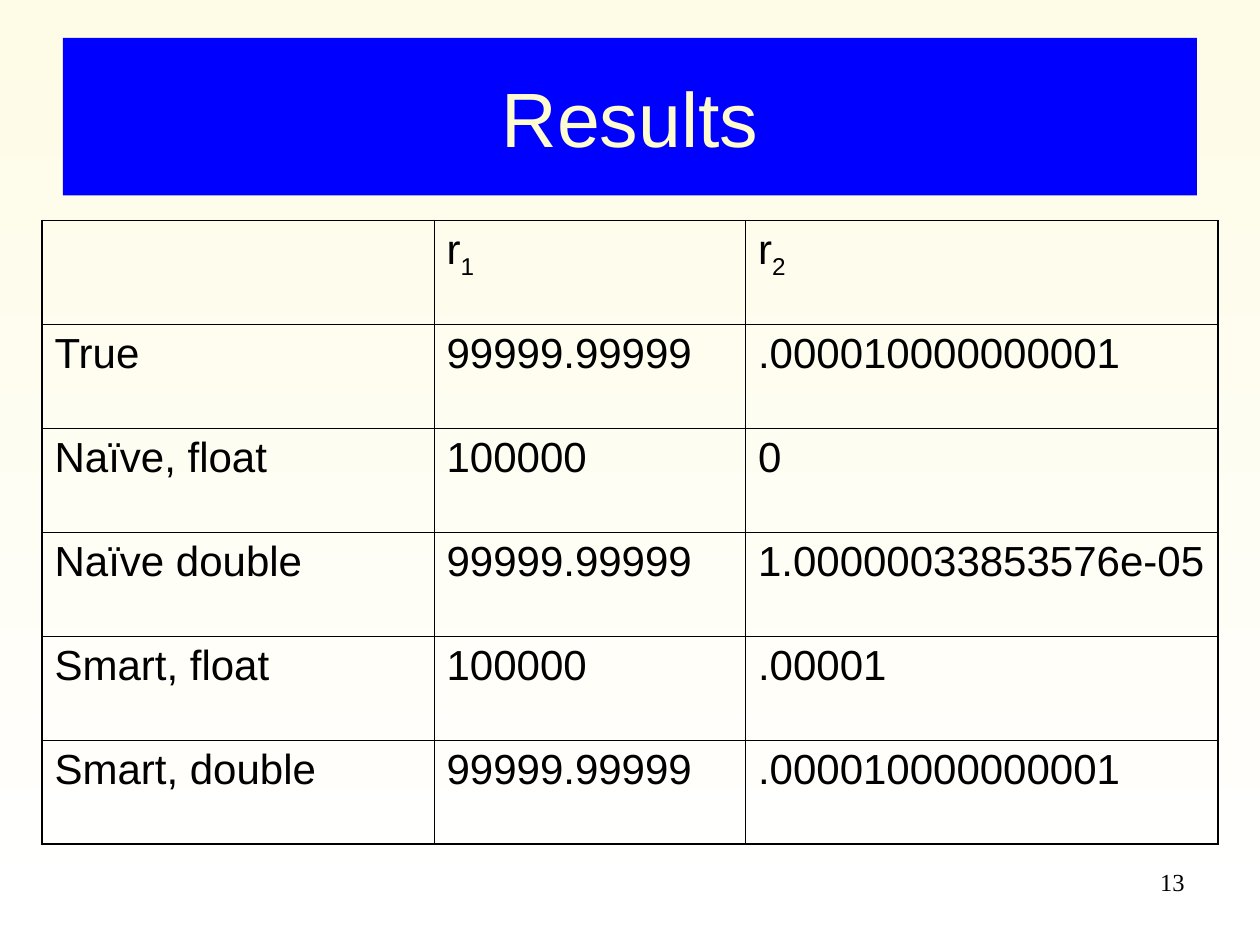
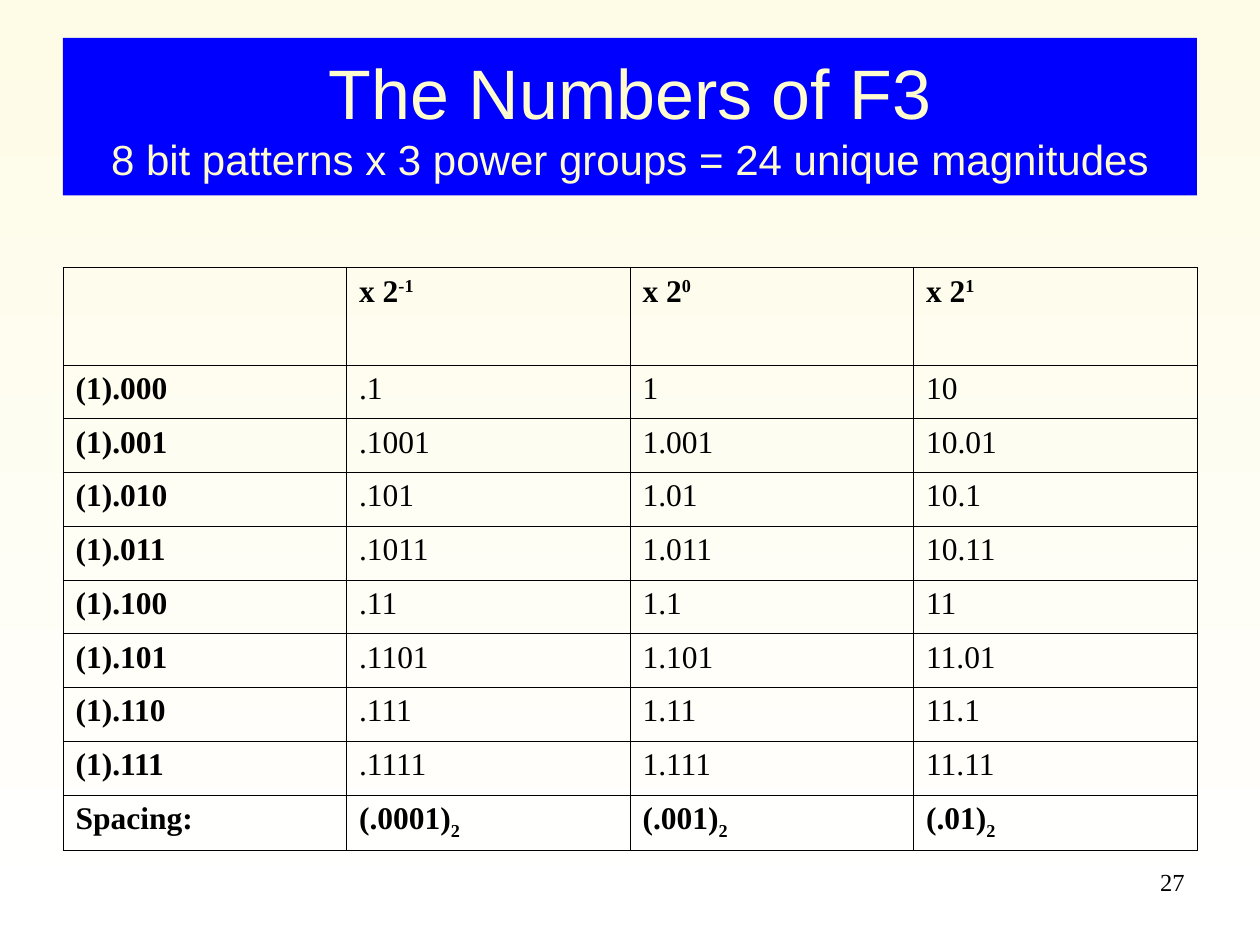
"""Build two slides of floating-point tables."""
from lxml import etree
from pptx import Presentation
from pptx import util as u
from pptx.dml.color import RGBColor
from pptx.enum import shapes, text
from pptx.oxml.ns import qn

SANS, SERIF = "Arial", "Times New Roman"
BLACK, BLUE, CREAM = "000000", "0000FF", "FEFBCE"
BACKGROUND = ("FEFCE6", "FFFFFF")
THIN, THICK = 0.45, 1.08
SCRIPTS = {"_": "-25000", "^": "30000"}


def color(value):
    """Turn a hex string into a colour."""
    return RGBColor.from_string(value)


class Deck:
    """Hold the shared style and the current slide."""

    def __init__(self):
        """Start a 10 by 7.5 inch presentation."""
        self.presentation = Presentation()
        self.presentation.slide_width = u.Pt(720)
        self.presentation.slide_height = u.Pt(540)
        self.slide = None

    def add_slide(self, title_lines, number):
        """Add a slide with its background, title band and page number."""
        layout = self.presentation.slide_layouts[6]
        self.slide = self.presentation.slides.add_slide(layout)
        fill = self.slide.background.fill
        fill.gradient()
        fill.gradient_angle = 270
        for stop, value in zip(fill.gradient_stops, BACKGROUND):
            stop.color.rgb = color(value)
        self.title(title_lines)
        self.page_number(number)

    def style(self, paragraph, name, size=None, value=BLACK, bold=False):
        """Set the font of a whole paragraph."""
        font = paragraph.font
        font.name, font.bold = name, bold
        font.color.rgb = color(value)
        if size:
            font.size = u.Pt(size)

    def title(self, lines):
        """Draw the title band with lines of (wording, size)."""
        shape = self.slide.shapes.add_shape(
            shapes.MSO_SHAPE.RECTANGLE, u.Pt(36), u.Pt(21.6), u.Pt(648), u.Pt(90))
        shape.shadow.inherit = False
        shape.fill.solid()
        shape.fill.fore_color.rgb = color(BLUE)
        shape.line.fill.background()
        frame = shape.text_frame
        frame.word_wrap = True
        frame.vertical_anchor = text.MSO_ANCHOR.MIDDLE
        paragraph = frame.paragraphs[0]
        paragraph.alignment = text.PP_ALIGN.CENTER
        self.style(paragraph, SANS, value=CREAM)
        for index, (wording, size) in enumerate(lines):
            if index:
                paragraph.add_line_break()
            run = paragraph.add_run()
            run.text = wording
            run.font.size = u.Pt(size)

    def page_number(self, number):
        """Place the page number at the bottom right."""
        box = self.slide.shapes.add_textbox(u.Pt(516), u.Pt(492), u.Pt(168), u.Pt(37.4))
        box.text_frame.word_wrap = True
        paragraph = box.text_frame.paragraphs[0]
        paragraph.text = str(number)
        paragraph.alignment = text.PP_ALIGN.RIGHT
        self.style(paragraph, SERIF, 14)

    def border(self, cell, side, width):
        """Draw one black edge of a cell."""
        properties = cell._tc.get_or_add_tcPr()
        line = etree.SubElement(properties, qn(f"a:ln{side}"), w=str(u.Pt(width)))
        fill = etree.SubElement(line, qn("a:solidFill"))
        etree.SubElement(fill, qn("a:srgbClr"), val=BLACK)

    def scripted(self, paragraph, wording):
        """Add wording whose _ or ^ starts a subscript or superscript."""
        mark = next((mark for mark in SCRIPTS if mark in wording), None)
        base, _, script = wording.partition(mark) if mark else (wording, "", "")
        paragraph.add_run().text = base
        if script:
            run = paragraph.add_run()
            run.text = script
            run.font._element.set("baseline", SCRIPTS[mark])

    def table(self, left, top, widths, heights, rows, name, size, frame, bold_edges=False):
        """Draw a ruled table, with bold first column and outer rows on request."""
        table = self.slide.shapes.add_table(
            len(rows), len(widths), u.Pt(left), u.Pt(top),
            u.Pt(sum(widths)), u.Pt(sum(heights))).table
        table.first_row = table.horz_banding = False
        for column, width in zip(table.columns, widths):
            column.width = u.Pt(width)
        last_row, last_column = len(rows) - 1, len(widths) - 1
        for i, wordings in enumerate(rows):
            table.rows[i].height = u.Pt(heights[i])
            for j, wording in enumerate(wordings):
                cell = table.cell(i, j)
                outer = {"L": j == 0, "R": j == last_column, "T": i == 0, "B": i == last_row}
                for side, is_outer in outer.items():
                    self.border(cell, side, frame if is_outer else THIN)
                cell.fill.background()
                paragraph = cell.text_frame.paragraphs[0]
                bold = bold_edges and (j == 0 or i in (0, last_row))
                self.style(paragraph, name, size, bold=bold)
                if wording:
                    self.scripted(paragraph, wording)


RESULTS = [
    ("", "r_1", "r_2"),
    ("True", "99999.99999", ".000010000000001"),
    ("Naïve, float", "100000", "0"),
    ("Naïve double", "99999.99999", "1.00000033853576e-05"),
    ("Smart, float", "100000", ".00001"),
    ("Smart, double", "99999.99999", ".000010000000001"),
]
MAGNITUDES = [
    ("", "x 2^-1", "x 2^0", "x 2^1"),
    ("(1).000", ".1", "1", "10"),
    ("(1).001", ".1001", "1.001", "10.01"),
    ("(1).010", ".101", "1.01", "10.1"),
    ("(1).011", ".1011", "1.011", "10.11"),
    ("(1).100", ".11", "1.1", "11"),
    ("(1).101", ".1101", "1.101", "11.01"),
    ("(1).110", ".111", "1.11", "11.1"),
    ("(1).111", ".1111", "1.111", "11.11"),
    ("Spacing:", "(.0001)_2", "(.001)_2", "(.01)_2"),
]


def main():
    """Build and save both slides."""
    deck = Deck()
    deck.add_slide([("Results", 44)], 13)
    deck.table(24, 126, [224, 178, 270], [59.4] * 6, RESULTS, SANS, 24, THICK)
    deck.add_slide([("The Numbers of F3", 40),
                    ("8 bit patterns x 3 power groups = 24 unique magnitudes", 24)], 27)
    deck.table(36, 153, [162] * 4, [55.5] + [30.75] * 8 + [31.4], MAGNITUDES,
               SERIF, 18, THIN, bold_edges=True)
    deck.presentation.save("out.pptx")


if __name__ == "__main__":
    main()
